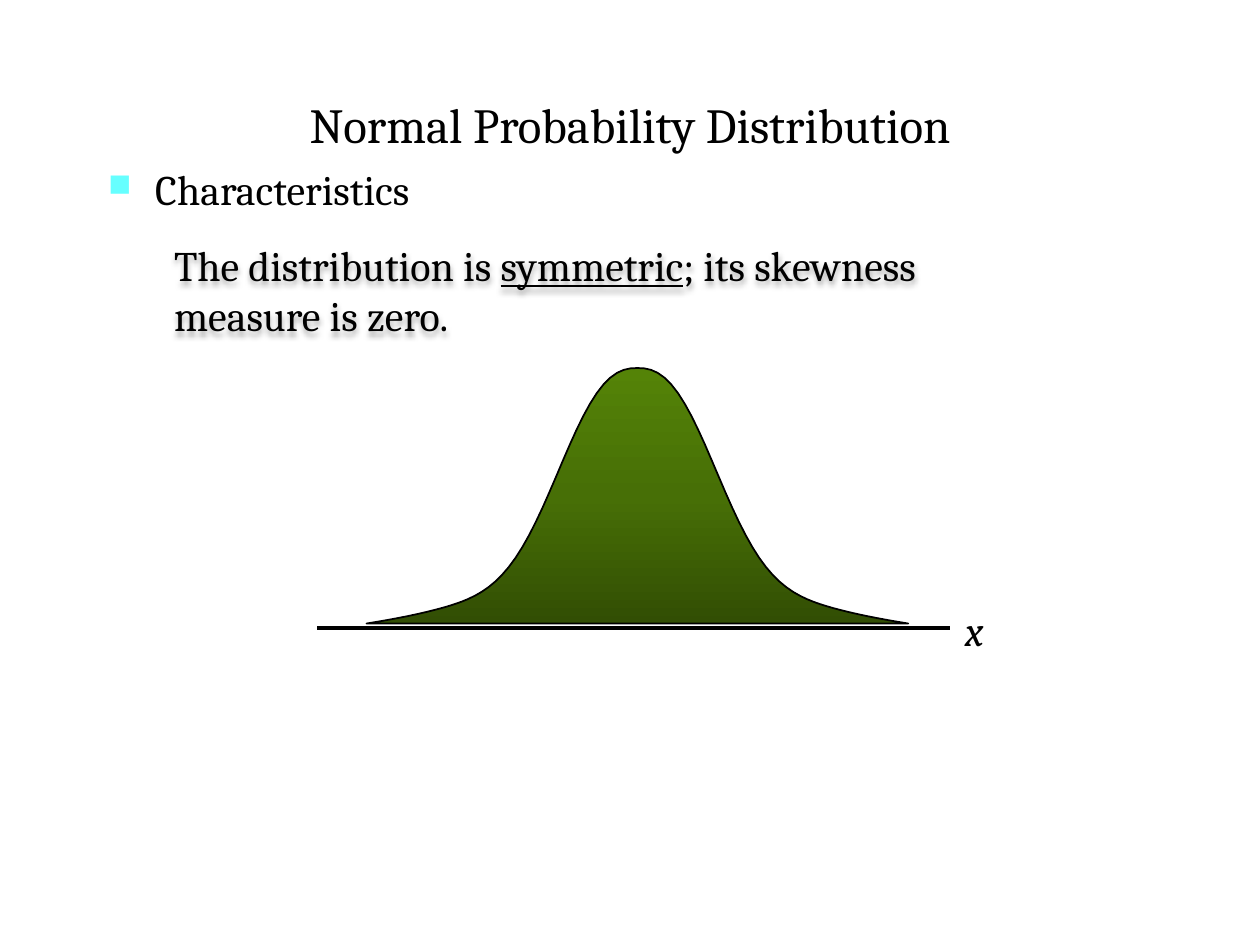
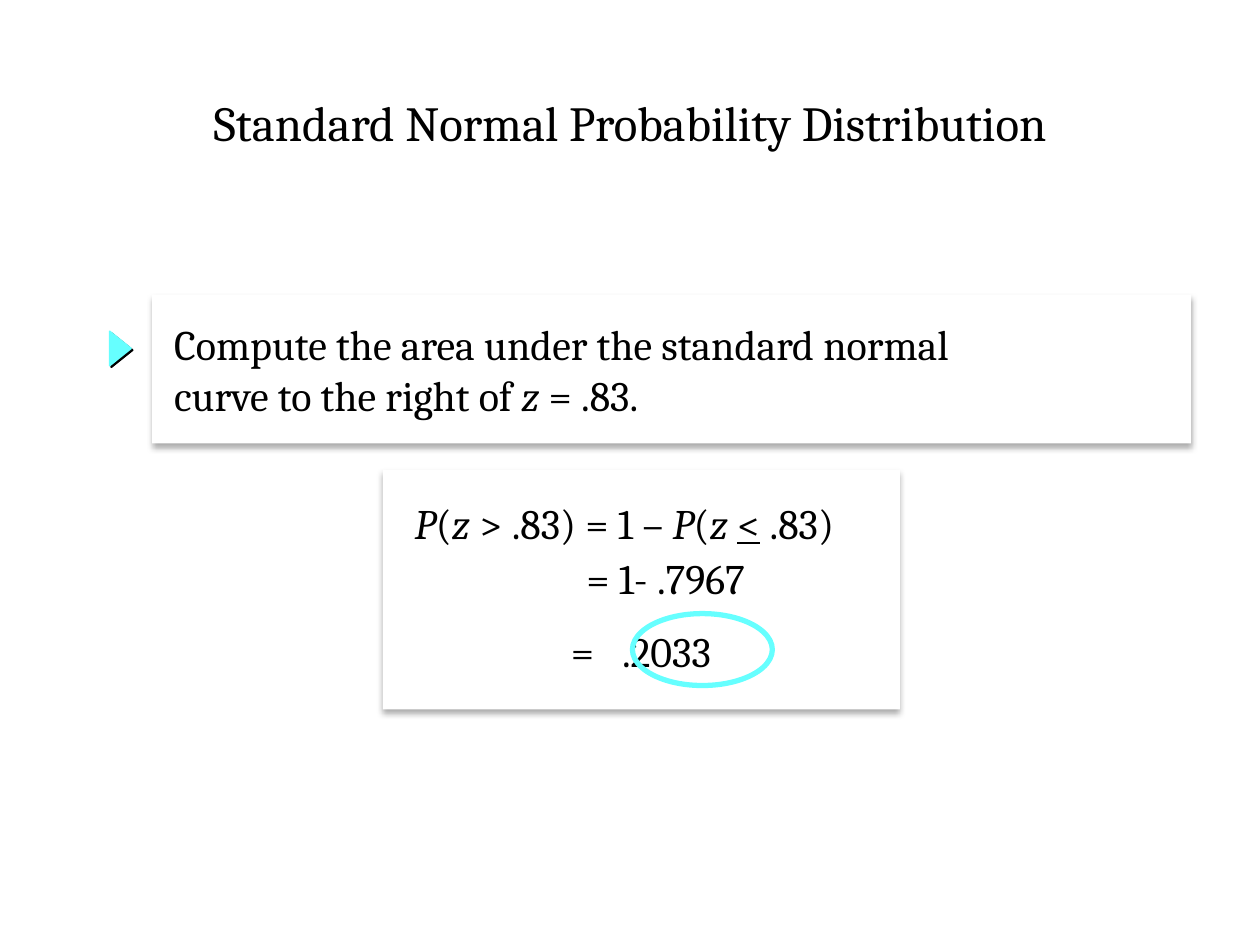
import math
import pptx
import pptx.util
import pptx.dml.color
import pptx.enum.shapes
import pptx.enum.text
import pptx.oxml
import pptx.oxml.ns
import copy
from lxml import etree

Cm = pptx.util.Cm
Pt = pptx.util.Pt
SHAPES = pptx.enum.shapes.MSO_SHAPE
ALIGN = pptx.enum.text.PP_ALIGN
ANCHOR = pptx.enum.text.MSO_ANCHOR

FONT = "Cambria"
TITLE_SIZE = 28
BODY_SIZE = 24
PLAIN, ITALIC, UNDERLINE = "plain", "italic", "underline"

BLACK = "000000"
WHITE = "FFFFFF"
AQUA = "66FFFF"
CURVE_GREENS = ((0, "324E04"), (0.5, "476F06"), (1, "548307"))
SOFT_SHADOW = {"color": BLACK, "opacity": 32, "blur": 3.5, "distance": 2.2, "angle": 90}
HARD_SHADOW = {"color": BLACK, "opacity": 100, "blur": 0, "distance": 1.4, "angle": 45}

BELL_CENTER = 12.85
BELL_HALF_WIDTH = 5.46
BELL_TOP = 7.42
BELL_BASE = 12.57
BELL_STEPS = 80
CORE_WIDTH = 1.92
CORE_POWER = 2.5
TAIL_DEVIATION = 3.05
TAIL_SHARE = 0.24


def rgb(value):
    return pptx.dml.color.RGBColor.from_string(value)


def add_child(parent, tag, **attributes):
    child = etree.SubElement(parent, pptx.oxml.ns.qn(tag))
    for name, value in attributes.items():
        child.set(name, str(value))
    return child


def set_shadow(shape, color, opacity, blur, distance, angle):
    shape.shadow.inherit = False
    effects = shape._element.spPr.find(pptx.oxml.ns.qn("a:effectLst"))
    shadow = add_child(effects, "a:outerShdw", blurRad=Pt(blur), dist=Pt(distance),
                       dir=angle * 60000, algn="ctr", rotWithShape=0)
    add_child(add_child(shadow, "a:srgbClr", val=color), "a:alpha", val=opacity * 1000)


def set_line(shape, color, width):
    shape.line.color.rgb = rgb(color)
    shape.line.width = Pt(width)


def add_shape(slide, kind, box, fill=None, line=None, line_width=1):
    shape = slide.shapes.add_shape(kind, *map(Cm, box))
    shape.shadow.inherit = False
    if fill:
        shape.fill.solid()
        shape.fill.fore_color.rgb = rgb(fill)
    else:
        shape.fill.background()
    if line:
        set_line(shape, line, line_width)
    else:
        shape.line.fill.background()
    return shape


def write_paragraph(paragraph, runs, size=BODY_SIZE, align=ALIGN.LEFT):
    paragraph.alignment = align
    for text, style in runs:
        run = paragraph.add_run()
        run.text = text
        run.font.name = FONT
        run.font.size = Pt(size)
        run.font.color.rgb = rgb(BLACK)
        run.font.italic = style == ITALIC
        run.font.underline = style == UNDERLINE


def write_lines(shape, lines, inset=0.25, anchor=ANCHOR.MIDDLE, **text_format):
    frame = shape.text_frame
    frame.word_wrap = True
    frame.vertical_anchor = anchor
    frame.margin_left = Cm(inset)
    for index, runs in enumerate(lines):
        paragraph = frame.add_paragraph() if index else frame.paragraphs[0]
        write_paragraph(paragraph, runs, **text_format)
    return frame


def add_text(slide, box, lines, **text_format):
    shape = slide.shapes.add_textbox(*map(Cm, box))
    write_lines(shape, lines, **text_format)
    return shape


def add_title(slide, text, top):
    add_text(slide, (1.9, top, 21.6, 1.9), [[(text, PLAIN)]],
             size=TITLE_SIZE, align=ALIGN.CENTER)


def add_card(slide, box, lines, inset):
    card = add_shape(slide, SHAPES.RECTANGLE, box, WHITE)
    set_shadow(card, **SOFT_SHADOW)
    return write_lines(card, lines, inset=inset)


def set_indent(paragraph, left, first=0):
    properties = paragraph._p.get_or_add_pPr()
    properties.set("marL", str(Cm(left)))
    properties.set("indent", str(Cm(first)))
    return properties


def add_bullet_text(slide, box, text):
    shape = add_text(slide, box, [[(text, PLAIN)]], anchor=ANCHOR.TOP)
    properties = set_indent(shape.text_frame.paragraphs[0], 0.95, -0.95)
    add_child(add_child(properties, "a:buClr"), "a:srgbClr", val=AQUA)
    add_child(properties, "a:buSzPct", val=75000)
    add_child(properties, "a:buChar", char="■")


def bell_density(offset):
    core = math.exp(-((abs(offset) / CORE_WIDTH) ** CORE_POWER))
    tail = math.exp(-((offset / TAIL_DEVIATION) ** 2) / 2)
    return (1 - TAIL_SHARE) * core + TAIL_SHARE * tail


def bell_points():
    edge = bell_density(BELL_HALF_WIDTH)
    for step in range(BELL_STEPS + 1):
        offset = BELL_HALF_WIDTH * (2 * step / BELL_STEPS - 1)
        height = (bell_density(offset) - edge) / (1 - edge)
        yield (Cm(BELL_CENTER + offset),
               Cm(BELL_BASE - height * (BELL_BASE - BELL_TOP)))


def fill_with_gradient(shape, stops, angle):
    shape.fill.gradient()
    shape.fill.gradient_angle = angle
    stop_list = shape._element.spPr.find(".//" + pptx.oxml.ns.qn("a:gsLst"))
    while len(stop_list) < len(stops):
        stop_list.append(copy.deepcopy(stop_list[0]))
    for stop, (position, color) in zip(shape.fill.gradient_stops, stops):
        stop.position = position
        stop.color.rgb = rgb(color)


def add_bell_curve(slide):
    start, *points = bell_points()
    builder = slide.shapes.build_freeform(*start)
    builder.add_line_segments(points, close=True)
    curve = builder.convert_to_shape()
    curve.shadow.inherit = False
    set_line(curve, BLACK, 1)
    fill_with_gradient(curve, CURVE_GREENS, angle=90)


def add_axis(slide, left, right, y):
    axis = slide.shapes.add_connector(pptx.enum.shapes.MSO_CONNECTOR.STRAIGHT,
                                      Cm(left), Cm(y), Cm(right), Cm(y))
    set_line(axis, BLACK, 2.25)
    add_child(axis._element.spPr, "a:effectLst")


def build_symmetry_slide(slide):
    statement = add_text(slide, (3.07, 4.45, 19.96, 2.79), [
        [("The distribution is ", PLAIN), ("symmetric", UNDERLINE), ("; its skewness", PLAIN)],
        [("measure is zero.", PLAIN)],
    ], inset=0.44)
    set_shadow(statement, **SOFT_SHADOW)
    add_title(slide, "Normal Probability Distribution", 1.55)
    add_bullet_text(slide, (1.93, 3.18, 9.17, 1.45), "Characteristics")
    add_bell_curve(slide)
    axis_label = add_text(slide, (19.17, 12.07, 0.94, 1.27), [[("x", ITALIC)]],
                          anchor=ANCHOR.TOP, align=ALIGN.CENTER)
    axis_label.text_frame.word_wrap = False
    add_axis(slide, 6.4, 19.15, 12.66)


def build_area_slide(slide):
    solution = add_card(slide, (7.72, 9.47, 10.42, 4.83), [
        [("P", ITALIC), ("(", PLAIN), ("z ", ITALIC), ("> .83) = 1 – ", PLAIN),
         ("P", ITALIC), ("(", PLAIN), ("z ", ITALIC), ("<", UNDERLINE), (" .83)", PLAIN)],
        [("= 1- .7967", PLAIN)],
        [("=\t.2033", PLAIN)],
    ], inset=0.64)
    for paragraph in solution.paragraphs:
        paragraph.line_spacing = 0.9
    complement, difference, answer = solution.paragraphs
    difference.space_before = Pt(5.6)
    answer.space_before = Pt(15.8)
    set_indent(difference, 3.46)
    set_indent(answer, 4.18, -1.03)

    add_card(slide, (3.07, 5.94, 20.94, 3), [
        [("Compute the area under the standard normal", PLAIN)],
        [("curve to the right of ", PLAIN), ("z", ITALIC), (" = .83.", PLAIN)],
    ], inset=0.44)
    marker = add_shape(slide, SHAPES.ISOSCELES_TRIANGLE, (2.08, 6.81, 0.69, 0.43), AQUA, AQUA)
    marker.rotation = 90
    set_shadow(marker, **HARD_SHADOW)
    add_shape(slide, SHAPES.OVAL, (12.75, 12.37, 2.82, 1.45), line=AQUA, line_width=3)
    add_title(slide, "Standard Normal Probability Distribution", 1.5)


def main():
    presentation = pptx.Presentation()
    presentation.slide_width = Cm(25.4)
    presentation.slide_height = Cm(19.05)
    blank_layout = presentation.slide_layouts[6]
    for build_slide in (build_symmetry_slide, build_area_slide):
        build_slide(presentation.slides.add_slide(blank_layout))
    presentation.save("out.pptx")


if __name__ == "__main__":
    main()
